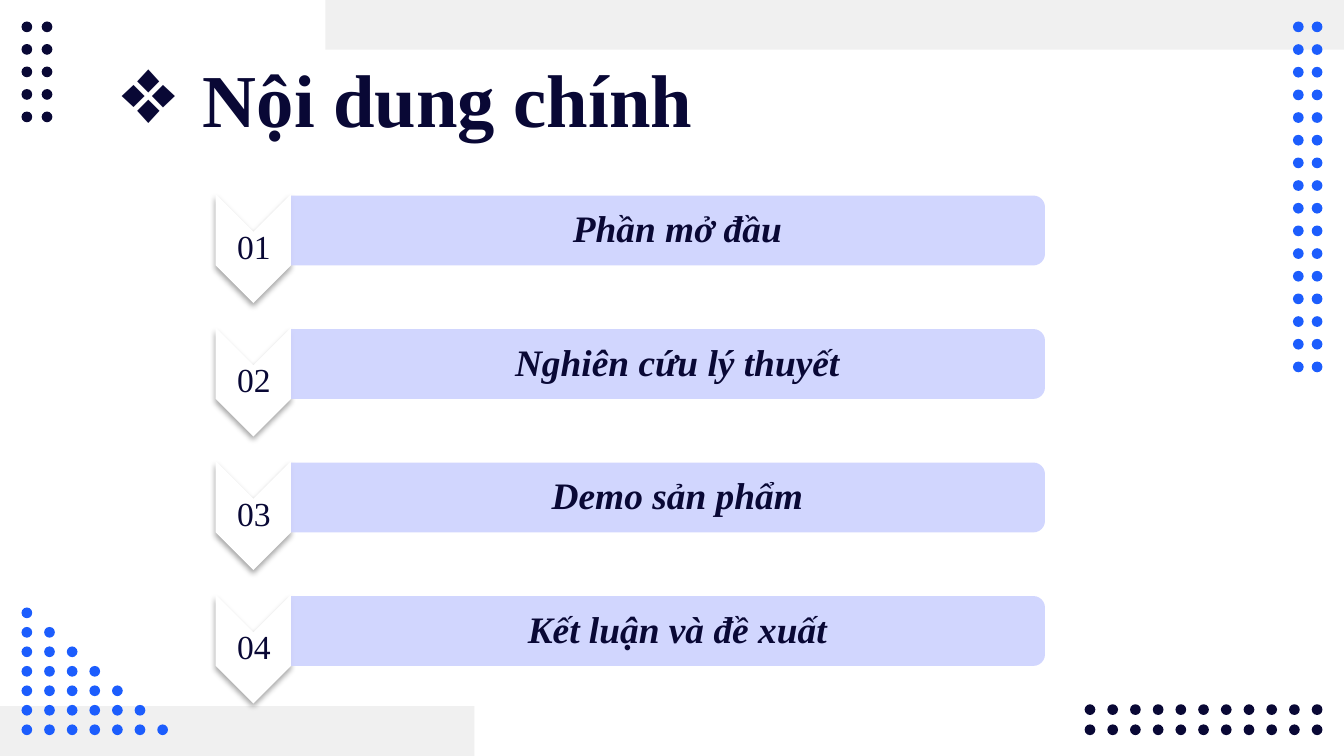
"""Build the agenda slide with dotted corners and four numbered topics."""
from dataclasses import dataclass

from lxml.etree import SubElement
from pptx import Presentation
from pptx.dml.color import RGBColor
from pptx.enum.shapes import MSO_SHAPE as Preset
from pptx.enum.text import MSO_ANCHOR as Anchor, MSO_AUTO_SIZE as AutoSize, PP_ALIGN as Align
from pptx.oxml.ns import qn
from pptx.shapes.autoshape import Shape
from pptx.slide import Slide
from pptx.text.text import TextFrame
from pptx.util import Inches, Pt

COLORS = {"navy": "090835", "blue": "1C5DFD", "grey": "F0F0F0",
          "lavender": "CDD2FE", "white": "FFFFFF", "black": "000000"}
FONT = "Times New Roman"
SLIDE_WIDTH = 10
SLIDE_HEIGHT = SLIDE_WIDTH * 9 / 16
DOT_SIZE = 0.08
ROW_PITCH = 2.98 / 3
TOPICS = ["Phần mở đầu", "Nghiên cứu lý thuyết", "Demo sản phẩm", "Kết luận và đề xuất"]


@dataclass
class Area:
    left: float
    top: float
    width: float
    height: float

    def lengths(self) -> list[int]:
        return [Inches(value) for value in (self.left, self.top, self.width, self.height)]


@dataclass
class DotGrid:
    left: float
    top: float
    right: float
    bottom: float
    columns: int
    rows: int
    color: str
    triangular: bool = False


BANDS = [Area(2.42, 0, 7.58, 0.37), Area(0, SLIDE_HEIGHT - 0.37, 3.53, 0.37)]
DOT_GRIDS = [
    DotGrid(9.62, 0.16, 9.76, 2.69, 2, 16, "blue"),
    DotGrid(0.16, 4.52, 1.17, 5.39, 7, 7, "blue", triangular=True),
    DotGrid(0.16, 0.16, 0.31, 0.83, 2, 5, "navy"),
    DotGrid(8.07, 5.24, 9.76, 5.39, 11, 2, "navy"),
]


def rgb(name: str) -> RGBColor:
    return RGBColor.from_string(COLORS[name])


def add_shape(shapes, preset: Preset, area: Area, color: str, rotation: int = 0) -> Shape:
    shape = shapes.add_shape(preset, *area.lengths())
    shape.rotation = rotation
    shape.shadow.inherit = False
    shape.fill.solid()
    shape.fill.fore_color.rgb = rgb(color)
    shape.line.fill.background()
    return shape


def add_dots(slide: Slide, grid: DotGrid) -> None:
    shapes = slide.shapes.add_group_shape().shapes
    x_step = (grid.right - grid.left) / (grid.columns - 1)
    y_step = (grid.bottom - grid.top) / (grid.rows - 1)
    for row in range(grid.rows):
        for column in range(row + 1 if grid.triangular else grid.columns):
            area = Area(grid.left + column * x_step, grid.top + row * y_step, DOT_SIZE, DOT_SIZE)
            add_shape(shapes, Preset.OVAL, area, grid.color)


def set_margins(frame: TextFrame, left: float, other: float) -> None:
    frame.margin_left = Inches(left)
    frame.margin_top = frame.margin_right = frame.margin_bottom = Inches(other)


def write(frame: TextFrame, text: str, size: int, bold: bool = False, italic: bool = False):
    frame.word_wrap = True
    frame.auto_size = AutoSize.NONE
    frame.vertical_anchor = Anchor.MIDDLE
    para = frame.paragraphs[0]
    para.text = text
    font = para.font
    font.name, font.size, font.bold, font.italic = FONT, Pt(size), bold, italic
    font.color.rgb = rgb("navy")
    return para


def add_label(shapes, area: Area, text: str, size: int, left_margin: float,
              emphasis: bool = False) -> None:
    frame = shapes.add_textbox(*area.lengths()).text_frame
    set_margins(frame, left_margin, 0.01)
    para = write(frame, text, size, emphasis, emphasis)
    para.alignment = Align.CENTER
    para.line_spacing = 0.9


def add_alpha(color_element, percent: int) -> None:
    SubElement(color_element, qn("a:alpha"), val=str(percent * 1000))


def add_soft_shadow(shape: Shape) -> None:
    effects = shape._element.spPr.find(qn("a:effectLst"))
    shadow = SubElement(effects, qn("a:outerShdw"), blurRad=str(Pt(3.1)), dist=str(Pt(1.8)),
                        dir="5400000", rotWithShape="0")
    add_alpha(SubElement(shadow, qn("a:srgbClr"), val=COLORS["black"]), 35)


def add_topic(slide: Slide, index: int, topic: str) -> None:
    shapes = slide.shapes.add_group_shape().shapes
    offset = index * ROW_PITCH
    chevron = add_shape(shapes, Preset.CHEVRON, Area(1.48, 1.57 + offset, 0.81, 0.56), "white", 90)
    add_soft_shadow(chevron)
    add_label(shapes, Area(1.61, 1.73 + offset, 0.56, 0.24), f"{index + 1:02d}", 18, 0.01)
    bar = add_shape(shapes, Preset.ROUND_2_SAME_RECTANGLE,
                    Area(4.71, -1.09 + offset, 0.52, 5.61), "lavender", 90)
    add_alpha(bar._element.spPr.find(f"{qn('a:solidFill')}/{qn('a:srgbClr')}"), 90)
    add_label(shapes, Area(2.17, 1.48 + offset, 5.59, 0.47), topic, 20, 0.16, emphasis=True)


def set_title(slide: Slide) -> None:
    title = slide.shapes.title
    title.left, title.top, title.width, title.height = Area(0.79, 0.41, 8.43, 0.63).lengths()
    set_margins(title.text_frame, 0.1, 0.1)
    para = write(title.text_frame, "Nội dung chính", 40, bold=True)
    para.alignment = Align.LEFT
    properties = para._p.get_or_add_pPr()
    properties.set("marL", str(Inches(0.62)))
    properties.set("indent", str(-Inches(0.62)))
    run_defaults = properties.find(qn("a:defRPr"))
    bullet_color = SubElement(properties, qn("a:buClr"))
    SubElement(bullet_color, qn("a:srgbClr"), val=COLORS["navy"])
    SubElement(properties, qn("a:buFont"), typeface=FONT)
    SubElement(properties, qn("a:buChar"), char="❖")
    properties.append(run_defaults)


def main() -> None:
    deck = Presentation()
    deck.slide_width, deck.slide_height = Inches(SLIDE_WIDTH), Inches(SLIDE_HEIGHT)
    slide = deck.slides.add_slide(deck.slide_layouts[5])
    for band in BANDS:
        add_shape(slide.shapes, Preset.RECTANGLE, band, "grey")
    for grid in DOT_GRIDS:
        add_dots(slide, grid)
    set_title(slide)
    for index, topic in enumerate(TOPICS):
        add_topic(slide, index, topic)
    deck.save("out.pptx")


if __name__ == "__main__":
    main()
